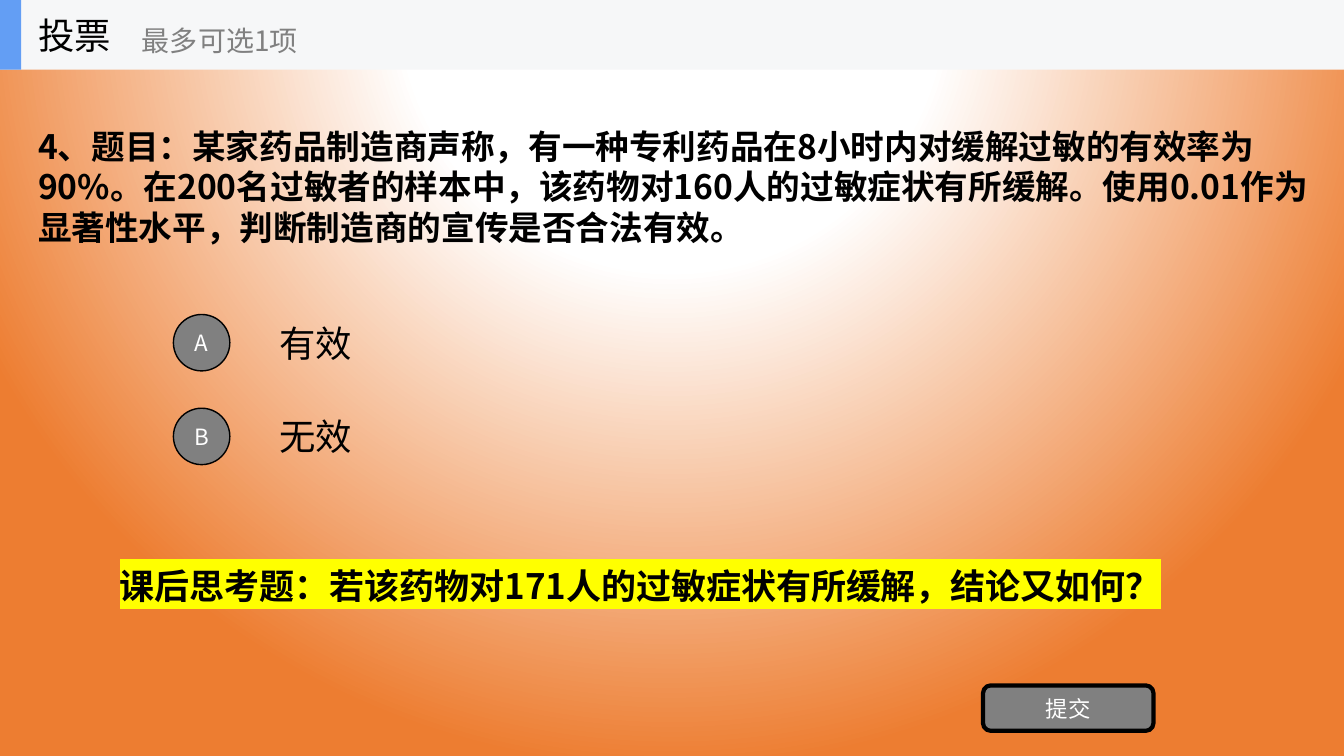
from pptx import Presentation
from pptx.dml.color import RGBColor
from pptx.enum.shapes import MSO_SHAPE as Kind
from pptx.enum.text import MSO_ANCHOR as Anchor, MSO_AUTO_SIZE as Fit, PP_ALIGN as Align
from pptx.oxml import parse_xml
from pptx.oxml.ns import nsdecls, qn
from pptx.util import Pt

PX = 9144
FONT = "Noto Sans CJK SC"
BLACK = RGBColor(0, 0, 0)
WHITE = RGBColor(255, 255, 255)
GRAY = RGBColor(128, 128, 128)
PALE = RGBColor(0xF6, 0xF7, 0xF8)
BLUE = RGBColor(0x63, 0x9E, 0xF4)


def write(shape, text, size, color=BLACK, bold=False, wrap=True, align=Align.LEFT, anchor=Anchor.MIDDLE):
    frame = shape.text_frame
    frame.auto_size = Fit.NONE
    frame.word_wrap = wrap
    frame.vertical_anchor = anchor
    para = frame.paragraphs[0]
    run = para.add_run()
    run.text = text
    para.alignment = align
    font = para.font
    font.size, font.bold, font.name = Pt(size), bold, FONT
    font.color.rgb = color
    props = para._p.pPr.find(qn("a:defRPr"))
    props.append(parse_xml(f'<a:ea {nsdecls("a")} typeface="{FONT}"/>'))
    return para


def draw(shapes, kind, box, fill, line=0):
    shape = shapes.add_shape(kind, *[n * PX for n in box])
    shape.shadow.inherit = False
    shape.fill.solid()
    shape.fill.fore_color.rgb = fill
    if line:
        shape.line.color.rgb = BLACK
        shape.line.width = Pt(line)
    else:
        shape.line.fill.background()
    return shape


deck = Presentation()
deck.slide_width, deck.slide_height = 1333 * PX, 750 * PX
slide = deck.slides.add_slide(deck.slide_layouts[5])
shapes = slide.shapes

slide.background.fill.gradient()
grad = next(slide.element.iter(qn("a:gradFill")))
stops = "".join(
    f'<a:gs pos="{pos}000"><a:srgbClr val="{color}"/></a:gs>'
    for pos, color in [(0, "FFFFFF"), (35, "FFFFFF"), (100, "ED7D31")]
)
grad.getparent().replace(grad, parse_xml(
    f'<a:gradFill {nsdecls("a")} rotWithShape="1"><a:gsLst>{stops}</a:gsLst>'
    '<a:path path="circle"><a:fillToRect l="50000" t="-80000" r="50000" b="180000"/></a:path>'
    '</a:gradFill>'
))

title = shapes.title
title.left, title.top, title.width, title.height = [n * PX for n in (109, 541, 1074, 66)]
para = write(title, "课后思考题：若该药物对171人的过敏症状有所缓解，结论又如何？", 25,
             bold=True, anchor=Anchor.BOTTOM)
para.line_spacing = 0.9
para.runs[0]._r.get_or_add_rPr().append(parse_xml(
    f'<a:highlight {nsdecls("a")}><a:srgbClr val="FFFF00"/></a:highlight>'
))

quiz = shapes.add_textbox(*[n * PX for n in (28, 76, 1284, 218)])
write(quiz, "4、题目：某家药品制造商声称，有一种专利药品在8小时内对缓解过敏的有效率为90%。"
      "在200名过敏者的样本中，该药物对160人的过敏症状有所缓解。"
      "使用0.01作为显著性水平，判断制造商的宣传是否合法有效。", 24, bold=True)

for row, (mark, text) in enumerate([("A", "有效"), ("B", "无效")]):
    top = 305 + 93 * row
    label = shapes.add_textbox(*[n * PX for n in (267, top, 933, 70)])
    write(label, text, 26)
    dot = draw(shapes, Kind.OVAL, (172, top + 7, 56, 56), GRAY, 1)
    write(dot, mark, 16, WHITE, wrap=False, align=Align.CENTER)

button = draw(shapes, Kind.ROUNDED_RECTANGLE, (975, 680, 169, 45), GRAY, 3)
write(button, "提交", 16, WHITE, wrap=False, align=Align.CENTER)

head = shapes.add_group_shape().shapes
for width, color in [(1333, PALE), (21, BLUE)]:
    draw(head, Kind.RECTANGLE, (0, 0, width, 69), color)
for box, text, size, color in [
    ((28, 0, 208, 69), "投票", 26, BLACK),
    ((131, 12, 250, 56), "最多可选1项", 20, GRAY),
]:
    label = head.add_textbox(*[n * PX for n in box])
    write(label, text, size, color, wrap=False)

deck.save("out.pptx")
